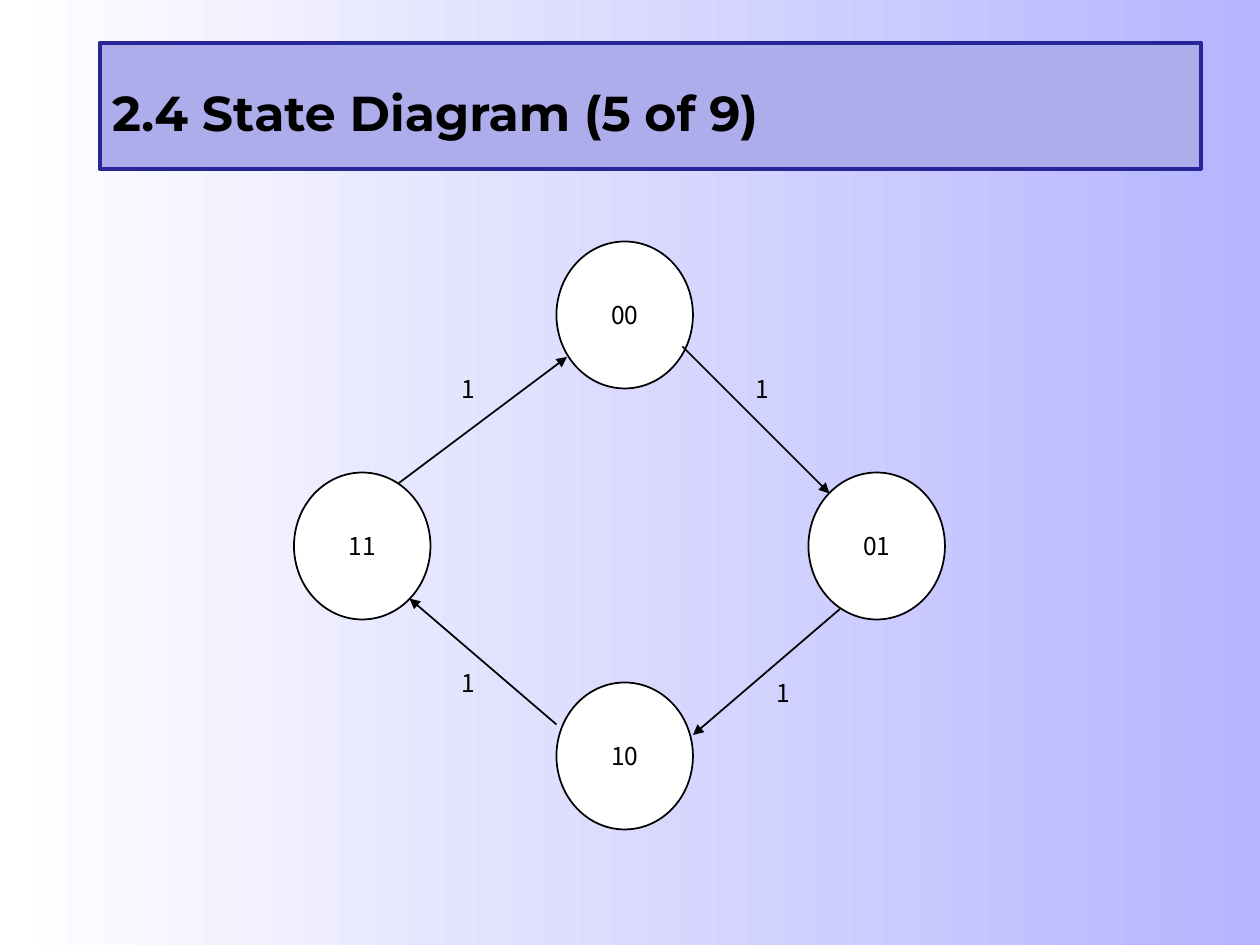
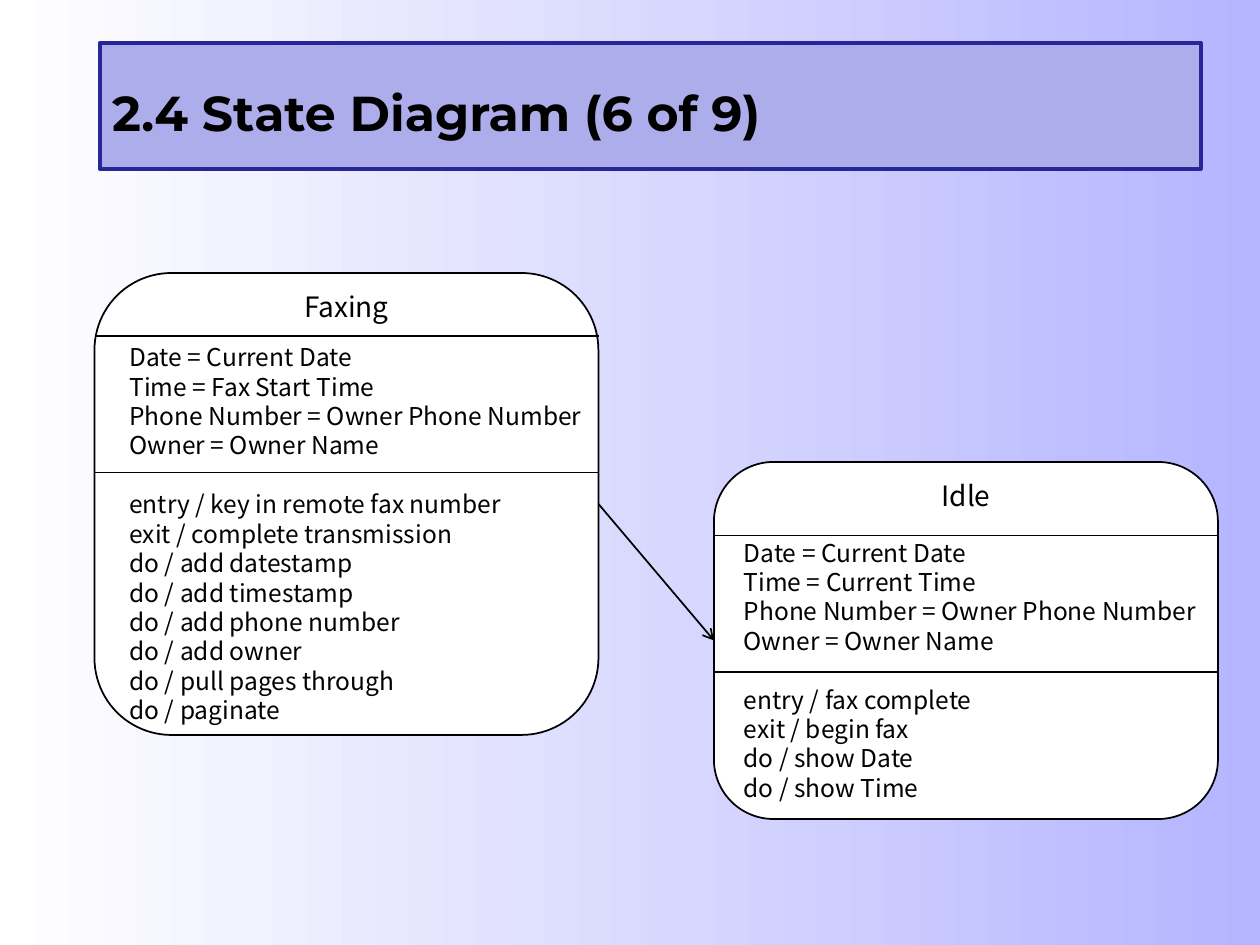
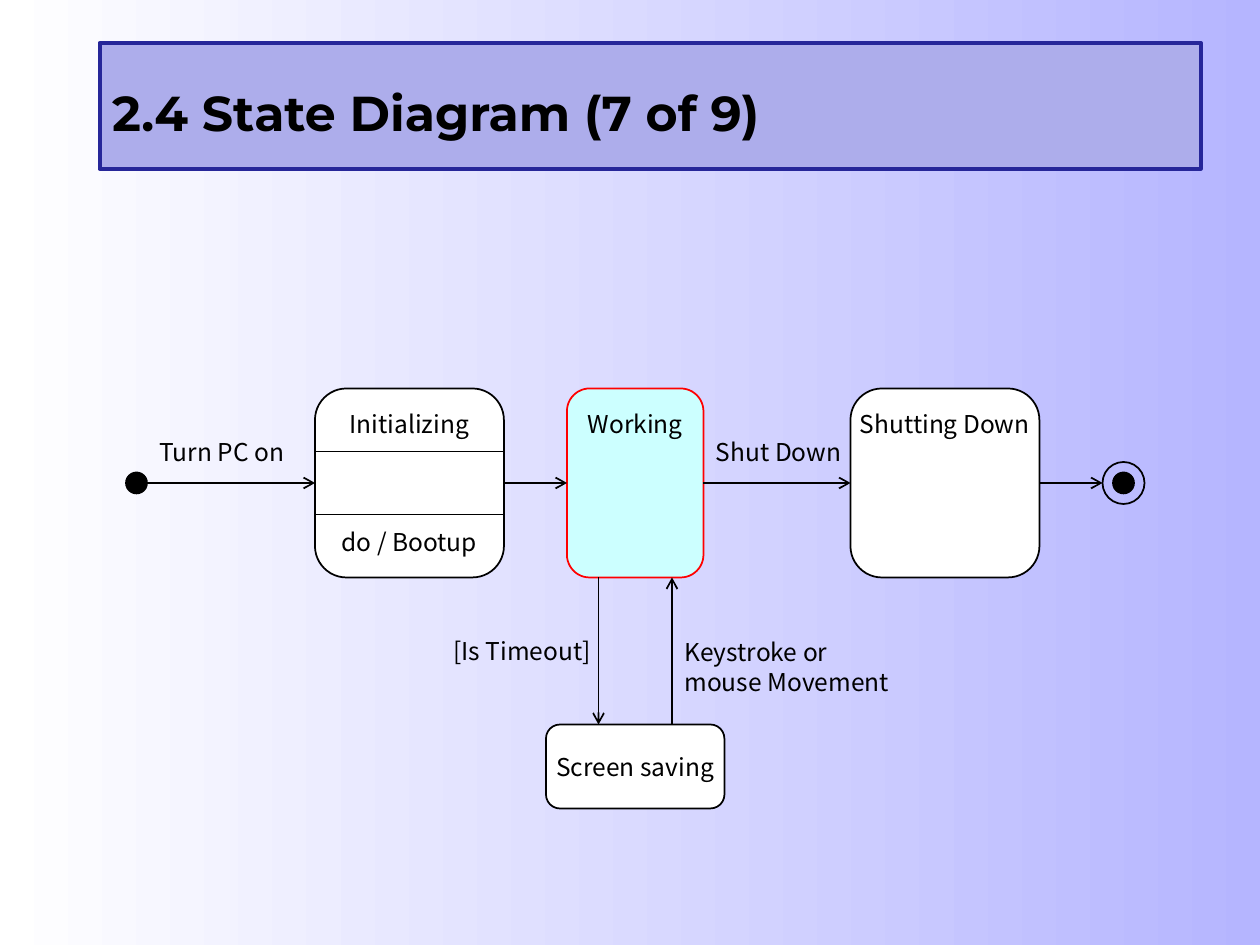
from dataclasses import dataclass

from lxml.etree import SubElement
from pptx import Presentation
from pptx.dml.color import RGBColor
from pptx.enum.shapes import MSO_CONNECTOR, MSO_SHAPE
from pptx.enum.text import MSO_ANCHOR, MSO_AUTO_SIZE, PP_ALIGN
from pptx.oxml.ns import qn
from pptx.util import Inches, Pt


@dataclass(frozen=True)
class Theme:
    black: RGBColor = RGBColor.from_string("000000")
    white: RGBColor = RGBColor.from_string("FFFFFF")
    lavender: RGBColor = RGBColor.from_string("B5B5FF")
    band: RGBColor = RGBColor.from_string("ADADEB")
    band_line: RGBColor = RGBColor.from_string("262699")
    active: RGBColor = RGBColor.from_string("CCFFFF")
    active_line: RGBColor = RGBColor.from_string("FF0000")
    title_font: str = "Montserrat"
    body_font: str = "Noto Sans CJK KR"
    title_size: int = 28
    heading_size: int = 16
    body_size: int = 14
    leading: float = 1.2


theme = Theme()
CELL = Inches(1) / 12
LINE_HEIGHT = Pt(theme.body_size * theme.leading)
OVAL, ROUNDED, RECTANGLE = MSO_SHAPE.OVAL, MSO_SHAPE.ROUNDED_RECTANGLE, MSO_SHAPE.RECTANGLE


def add_box(slide, kind, cells, lines=(), fill=None, line=None, align=PP_ALIGN.CENTER,
            size=theme.body_size, gaps=None, rows_above=0, rows_below=0):
    frame = [round(cell * CELL) for cell in cells]
    if kind is None:
        shape = slide.shapes.add_textbox(*frame)
    else:
        shape = slide.shapes.add_shape(kind, *frame)
        shape.shadow.inherit = False
    if fill is None:
        shape.fill.background()
    else:
        shape.fill.solid()
        shape.fill.fore_color.rgb = fill
    if line is None:
        shape.line.fill.background()
    else:
        shape.line.color.rgb = line
        shape.line.width = Pt(1)
    text_frame = shape.text_frame
    text_frame.word_wrap = False
    text_frame.vertical_anchor = MSO_ANCHOR.MIDDLE
    text_frame.margin_top = Inches(0.05) + rows_above * LINE_HEIGHT
    text_frame.margin_bottom = Inches(0.05) + rows_below * LINE_HEIGHT
    if lines:
        text_frame.text = "\n".join(lines)
    for index, paragraph in enumerate(text_frame.paragraphs):
        paragraph.alignment = align
        paragraph.line_spacing = Pt(size * theme.leading)
        paragraph.space_before = (gaps or {}).get(index, 0) * LINE_HEIGHT
        paragraph.font.name = theme.body_font
        paragraph.font.size = Pt(size)
        paragraph.font.color.rgb = theme.black


def add_line(slide, start, end, head=None):
    ends = [round(cell * CELL) for cell in (*start, *end)]
    connector = slide.shapes.add_connector(MSO_CONNECTOR.STRAIGHT, *ends)
    connector.line.color.rgb = theme.black
    connector.line.width = Pt(1)
    if head:
        SubElement(connector.line._get_or_add_ln(), qn("a:tailEnd"), type=head)
    SubElement(connector._element.spPr, qn("a:effectLst"))


presentation = Presentation()
presentation.slide_width = Inches(10)
presentation.slide_height = Inches(7.5)

background = presentation.slide_master.background.fill
background.gradient()
background.gradient_angle = 0
for stop, color in zip(background.gradient_stops, (theme.white, theme.lavender)):
    stop.color.rgb = color

slides = []
for number in (5, 6, 7):
    slide = presentation.slides.add_slide(presentation.slide_layouts[5])
    title = slide.shapes.title
    title.left, title.top = Inches(0.79), Inches(0.34)
    title.width, title.height = Inches(8.74), Inches(1)
    title.fill.solid()
    title.fill.fore_color.rgb = theme.band
    title.line.color.rgb = theme.band_line
    title.line.width = Pt(2.25)
    title.text_frame.text = f"2.4 State Diagram ({number} of 9)"
    title.text_frame.auto_size = MSO_AUTO_SIZE.NONE
    title.text_frame.vertical_anchor = MSO_ANCHOR.MIDDLE
    paragraph = title.text_frame.paragraphs[0]
    paragraph.alignment = PP_ALIGN.LEFT
    paragraph.line_spacing = theme.leading
    paragraph.font.name = theme.title_font
    paragraph.font.size = Pt(theme.title_size)
    paragraph.font.bold = True
    paragraph.font.color.rgb = theme.black
    slides.append(slide)

counter, fax, computer = slides

for state, left, top in (("00", 53, 23), ("01", 77, 45), ("10", 53, 65), ("11", 28, 45)):
    add_box(counter, OVAL, (left, top, 13, 14), [state], theme.white, theme.black)

for start, end, label in (
    ((65, 33), (79, 47), (70.8, 35)),
    ((80, 58), (66, 70), (72.8, 64)),
    ((53, 69), (39, 57), (42.8, 63)),
    ((38, 46), (54, 34), (42.8, 35)),
):
    add_line(counter, start, end, "triangle")
    add_box(counter, None, (*label, 3.7, 4), ["1"], align=PP_ALIGN.LEFT)

fax_states = (
    ("Faxing", 9, 26, 44, (32, 45), 10.5, "Fax Start Time", (
        "entry / key in remote fax number",
        "exit / complete transmission",
        "do / add datestamp",
        "do / add timestamp",
        "do / add phone number",
        "do / add owner",
        "do / pull pages through",
        "do / paginate",
    )),
    ("Idle", 68, 44, 34, (51, 64), 7, "Current Time", (
        "entry / fax complete",
        "exit / begin fax",
        "do / show Date",
        "do / show Time",
    )),
)
for name, left, top, height, dividers, name_width, time, actions in fax_states:
    attributes = (
        "Date = Current Date",
        f"Time = {time}",
        "Phone Number = Owner Phone Number",
        "Owner = Owner Name",
    )
    add_box(fax, ROUNDED, (left, top, 48, height), attributes + actions, theme.white,
            theme.black, PP_ALIGN.LEFT, gaps={len(attributes): 1}, rows_above=2)
    for divider in dividers:
        add_line(fax, (left, divider), (left + 48, divider))
    add_box(fax, RECTANGLE, (left + 24 - name_width / 2, top + 1, name_width, 4.4), [name],
            theme.white, size=theme.heading_size)
add_line(fax, (57, 48), (68, 61), "arrow")

add_box(computer, OVAL, (105, 44, 4, 4), line=theme.black)
for left in (12, 106):
    add_box(computer, OVAL, (left, 45, 2, 2), fill=theme.black, line=theme.black)

add_box(computer, ROUNDED, (30, 37, 18, 18), ["Initializing", "do / Bootup"],
        theme.white, theme.black, gaps={1: 3})
for divider in (43, 49):
    add_line(computer, (30, divider), (48, divider))
add_box(computer, ROUNDED, (54, 37, 13, 18), ["Working"],
        theme.active, theme.active_line, rows_below=4)
add_box(computer, ROUNDED, (81, 37, 18, 18), ["Shutting Down"],
        theme.white, theme.black, rows_below=4)
add_box(computer, ROUNDED, (52, 69, 17, 8), ["Screen saving"], theme.white, theme.black)

for start, end in (
    ((14, 46), (30, 46)),
    ((48, 46), (54, 46)),
    ((67, 46), (81, 46)),
    ((99, 46), (105, 46)),
    ((57, 55), (57, 69)),
    ((64, 69), (64, 55)),
):
    add_line(computer, start, end, "arrow")

for cells, lines in (
    ((14, 41, 15, 4), ["Turn PC on"]),
    ((67, 41, 15, 4), ["Shut Down"]),
    ((42, 60, 16, 4), ["[Is Timeout]"]),
    ((64, 60, 22, 7), ["Keystroke or", "mouse Movement"]),
):
    add_box(computer, None, cells, lines, align=PP_ALIGN.LEFT)

presentation.save("out.pptx")
